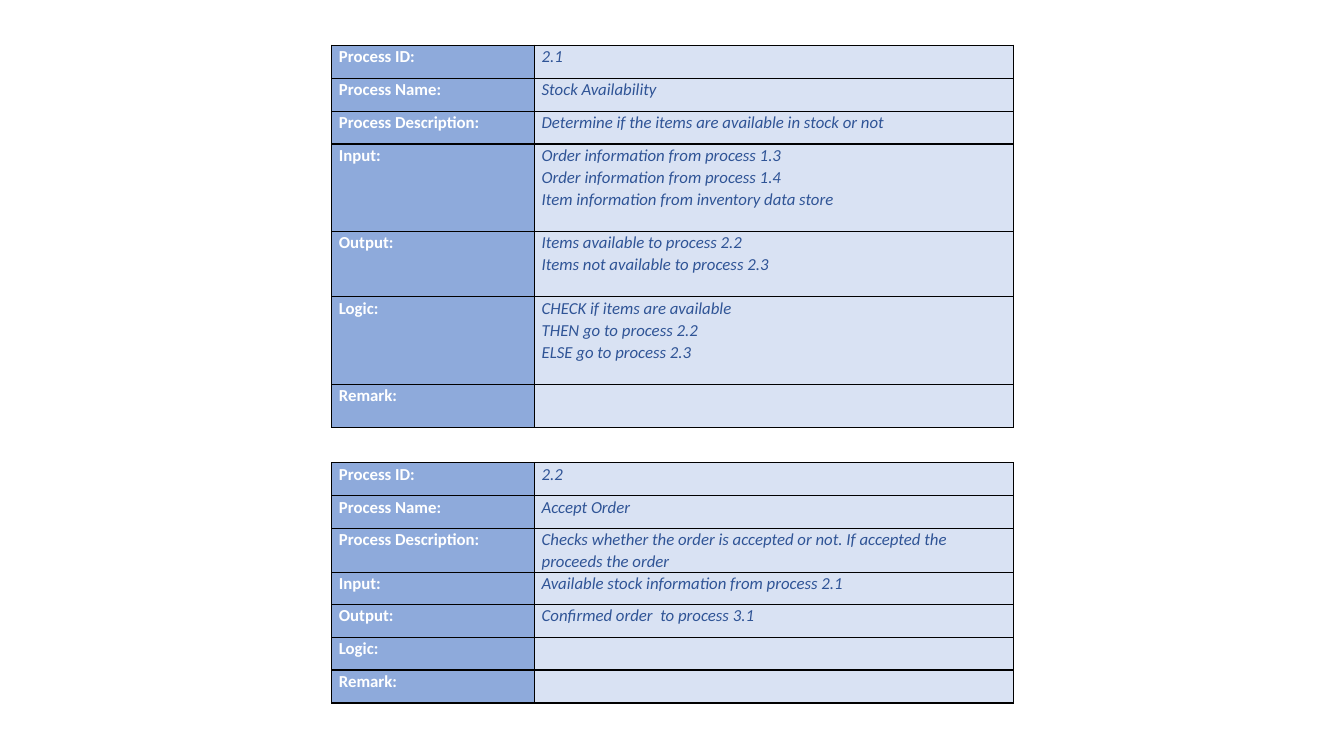
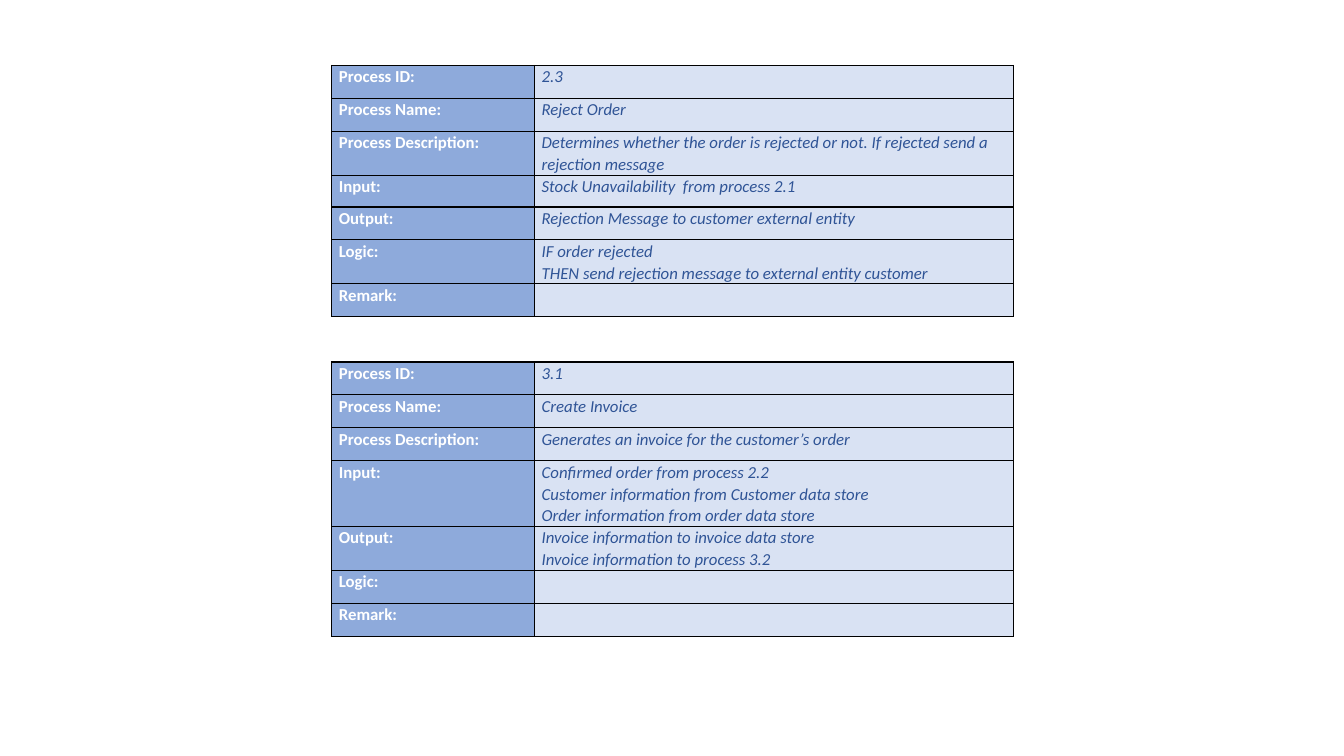
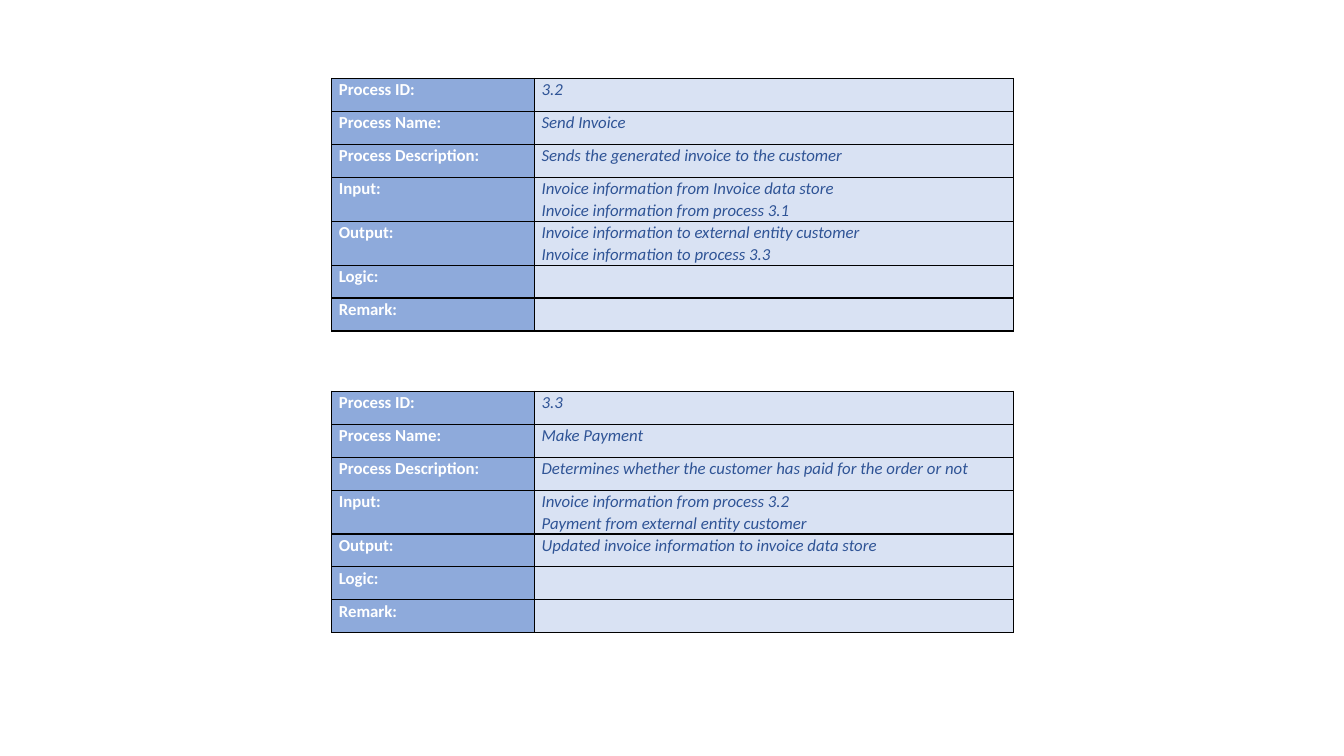
from math import ceil

from lxml import etree
from pptx import Presentation
from pptx.dml.color import RGBColor
from pptx.oxml.ns import qn
from pptx.util import Cm, Pt

LABEL_FILL = RGBColor(0x8E, 0xAA, 0xDB)
VALUE_FILL = RGBColor(0xD9, 0xE2, 0xF3)
LABEL_COLOR = RGBColor(0xFF, 0xFF, 0xFF)
VALUE_COLOR = RGBColor(0x2F, 0x54, 0x96)
BORDER_COLOR = RGBColor(0x00, 0x00, 0x00)
BORDER_WIDTH = Pt(1)
FONT_NAME = "Calibri"
FONT_SIZE = Pt(12)
LINE_SPACING = 1.07

TABLE_LEFT = 8.36
COLUMN_WIDTHS = (5.11, 12.07)
ROW_HEIGHT = 0.83
INPUT_HEIGHT = 0.8
LINE_HEIGHT = 0.55
CHARACTERS_PER_LINE = 65
CELL_MARGIN = Cm(0.18)

LABELS = ("Process ID:", "Process Name:", "Process Description:",
          "Input:", "Output:", "Logic:", "Remark:")
INPUT_ROW = LABELS.index("Input:")

# Each slide lists its tables: top in cm, spare lines from Input on, values.
SLIDES = (
    (
        (1.14, 1, (
            "2.1",
            "Stock Availability",
            "Determine if the items are available in stock or not",
            "Order information from process 1.3\n"
            "Order information from process 1.4\n"
            "Item information from inventory data store",
            "Items available to process 2.2\n"
            "Items not available to process 2.3",
            "CHECK if items are available\n"
            "THEN go to process 2.2\n"
            "ELSE go to process 2.3",
            "")),
        (11.66, 0, (
            "2.2",
            "Accept Order",
            "Checks whether the order is accepted or not. "
            "If accepted the proceeds the order",
            "Available stock information from process 2.1",
            "Confirmed order  to process 3.1",
            "",
            "")),
    ),
    (
        (1.65, 0, (
            "2.3",
            "Reject Order",
            "Determines whether the order is rejected or not. "
            "If rejected send a rejection message",
            "Stock Unavailability  from process 2.1",
            "Rejection Message to customer external entity",
            "IF order rejected\n"
            "THEN send rejection message to external entity customer",
            "")),
        (9.12, 0, (
            "3.1",
            "Create Invoice",
            "Generates an invoice for the customer’s order",
            "Confirmed order from process 2.2\n"
            "Customer information from Customer data store\n"
            "Order information from order data store",
            "Invoice information to invoice data store\n"
            "Invoice information to process 3.2",
            "",
            "")),
    ),
    (
        (1.98, 0, (
            "3.2",
            "Send Invoice",
            "Sends the generated invoice to the customer",
            "Invoice information from Invoice data store\n"
            "Invoice information from process 3.1",
            "Invoice information to external entity customer\n"
            "Invoice information to process 3.3",
            "",
            "")),
        (9.86, 0, (
            "3.3",
            "Make Payment",
            "Determines whether the customer has paid for the order or not",
            "Invoice information from process 3.2\n"
            "Payment from external entity customer",
            "Updated invoice information to invoice data store",
            "",
            "")),
    ),
)


def add_borders(cell):
    """Draw all four sides; call before the fill, which must follow in the XML."""
    properties = cell._tc.get_or_add_tcPr()
    for side in ("a:lnL", "a:lnR", "a:lnT", "a:lnB"):
        line = etree.SubElement(properties, qn(side), w=str(BORDER_WIDTH))
        fill = etree.SubElement(line, qn("a:solidFill"))
        etree.SubElement(fill, qn("a:srgbClr"), val=str(BORDER_COLOR))


def fill_cell(cell, text, fill_color, text_color, bold, italic):
    add_borders(cell)
    cell.fill.solid()
    cell.fill.fore_color.rgb = fill_color
    cell.margin_left = cell.margin_right = CELL_MARGIN
    cell.margin_top = cell.margin_bottom = 0
    cell.text = text
    for paragraph in cell.text_frame.paragraphs:
        paragraph.line_spacing = LINE_SPACING
        font = paragraph.font
        font.name = FONT_NAME
        font.size = FONT_SIZE
        font.bold = bold
        font.italic = italic
        font.color.rgb = text_color


def row_height(index, value, spare_lines):
    """Height in cm that holds the wrapped value and its spare lines."""
    lines = sum(max(1, ceil(len(line) / CHARACTERS_PER_LINE))
                for line in value.split("\n"))
    if index >= INPUT_ROW:
        lines += spare_lines
    minimum = INPUT_HEIGHT if index == INPUT_ROW else ROW_HEIGHT
    return max(minimum, lines * LINE_HEIGHT)


def add_process_table(page, left, top, spare_lines, values):
    heights = [row_height(index, value, spare_lines)
               for index, value in enumerate(values)]
    table = page.shapes.add_table(
        len(LABELS), len(COLUMN_WIDTHS), Cm(left), Cm(top),
        Cm(sum(COLUMN_WIDTHS)), Cm(sum(heights))).table
    table.first_row = False
    table.horz_banding = False
    for column, width in zip(table.columns, COLUMN_WIDTHS):
        column.width = Cm(width)
    for row, height, label, value in zip(table.rows, heights, LABELS, values):
        row.height = Cm(height)
        fill_cell(row.cells[0], label, LABEL_FILL, LABEL_COLOR, True, False)
        fill_cell(row.cells[1], value, VALUE_FILL, VALUE_COLOR, False, True)


def main():
    deck = Presentation()
    deck.slide_width = Cm(33.87)
    deck.slide_height = Cm(19.05)
    blank_layout = deck.slide_layouts[6]
    for tables in SLIDES:
        page = deck.slides.add_slide(blank_layout)
        for top, spare_lines, values in tables:
            add_process_table(page, TABLE_LEFT, top, spare_lines, values)
    deck.save("out.pptx")


if __name__ == "__main__":
    main()
